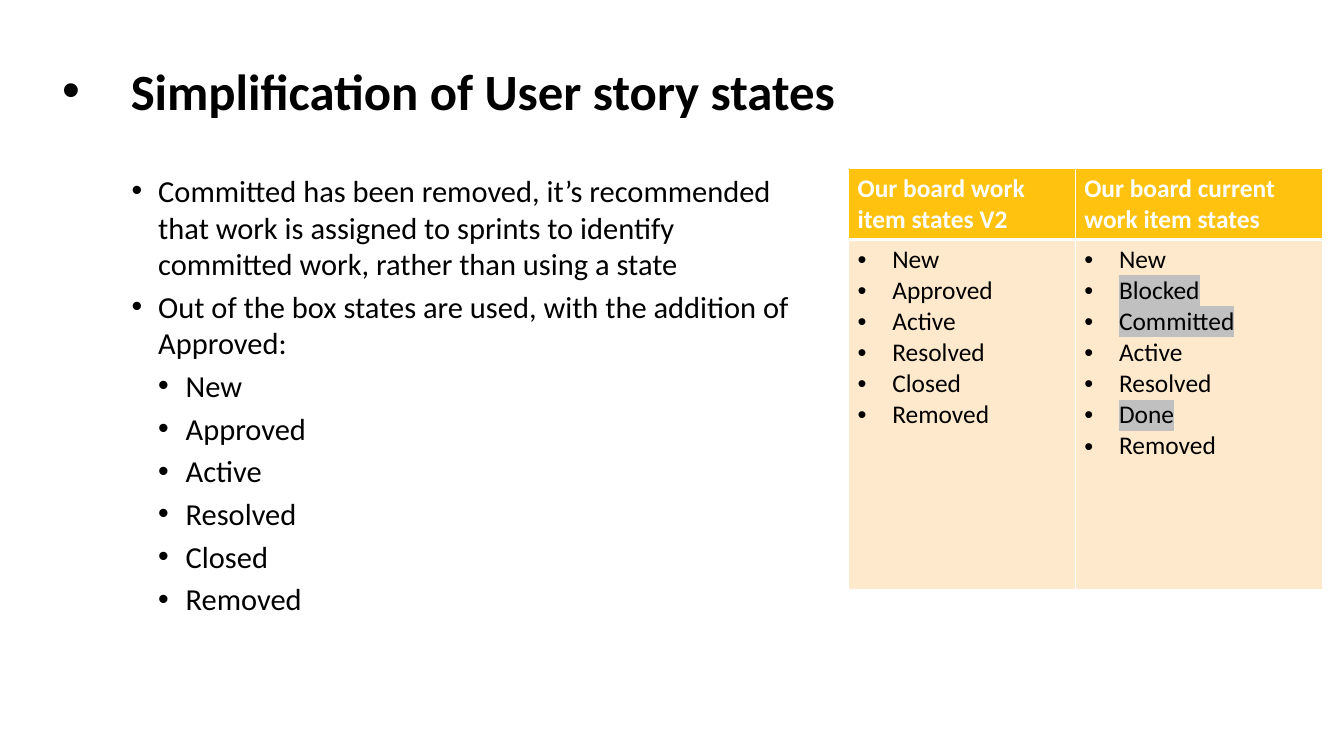
from dataclasses import dataclass

from lxml.etree import SubElement
from pptx import Presentation
from pptx.dml.color import RGBColor
from pptx.enum.text import MSO_ANCHOR, MSO_AUTO_SIZE, PP_ALIGN
from pptx.oxml.ns import qn
from pptx.util import Inches, Pt

SLIDE_WIDTH, SLIDE_HEIGHT = Inches(14.7), Inches(8.27)


@dataclass(frozen=True)
class Theme:
    font: str = "Calibri"
    ink: str = "000000"
    paper: str = "FFFFFF"
    header_fill: str = "FFC20E"
    body_fill: str = "FFE9CC"
    highlight: str = "C0C0C0"
    title_size: float = 40
    list_size: float = 24
    table_size: float = 20


THEME = Theme()

HEADING = "Simplification of User story states"
NEW_STATES = ["New", "Approved", "Active", "Resolved", "Closed", "Removed"]
CURRENT_STATES = ["New", "Blocked", "Committed", "Active", "Resolved", "Done", "Removed"]
DROPPED_STATES = {"Blocked", "Committed", "Done"}
EXPLANATION = [
    "Committed has been removed, it’s recommended that work is assigned to "
    "sprints to identify committed work, rather than using a state",
    "Out of the box states are used, with the addition of Approved:",
]
STATE_COLUMNS = [
    ("Our board work item states V2", NEW_STATES),
    ("Our board current work item states", CURRENT_STATES),
]


def across(percent):
    return round(SLIDE_WIDTH * percent / 100)


def down(percent):
    return round(SLIDE_HEIGHT * percent / 100)


def place(placeholder, left, top, width, height):
    """Position a placeholder by percentages of the slide."""
    placeholder.left, placeholder.top = across(left), down(top)
    placeholder.width, placeholder.height = across(width), down(height)
    placeholder.text_frame.word_wrap = True
    placeholder.text_frame.auto_size = MSO_AUTO_SIZE.NONE


def add_bullet(paragraph, margin, hanging):
    properties = paragraph._p.get_or_add_pPr()
    properties.set("marL", str(Inches(margin)))
    properties.set("indent", str(-Inches(hanging)))
    SubElement(properties, qn("a:buFont"), typeface="Arial")
    SubElement(properties, qn("a:buChar"), char="•")


def format_runs(paragraph, size, color=THEME.ink, bold=False):
    for run in paragraph.runs:
        run.font.name = THEME.font
        run.font.size = Pt(size)
        run.font.bold = bold
        run.font.color.rgb = RGBColor.from_string(color)


def highlight_runs(paragraph):
    for run in paragraph.runs:
        properties = run._r.get_or_add_rPr()
        marker = SubElement(properties, qn("a:highlight"))
        SubElement(marker, qn("a:srgbClr"), val=THEME.highlight)
        properties.find(qn("a:solidFill")).addnext(marker)


def fill_title(title):
    place(title, 3.88, 3.99, 83.13, 15.84)
    frame = title.text_frame
    frame.text = HEADING
    frame.vertical_anchor = MSO_ANCHOR.MIDDLE
    frame.margin_left = frame.margin_right = Inches(0.11)
    frame.margin_top = frame.margin_bottom = Inches(0.06)
    heading = frame.paragraphs[0]
    heading.alignment = PP_ALIGN.LEFT
    add_bullet(heading, 0.75, 0.75)
    format_runs(heading, THEME.title_size, bold=True)


def fill_explanation(body):
    place(body, 9.12, 22.15, 51.97, 68.78)
    frame = body.text_frame
    frame.text = "\n".join(EXPLANATION + NEW_STATES)
    for index, point in enumerate(frame.paragraphs):
        is_state = index >= len(EXPLANATION)
        point.level = int(is_state)
        point.space_before = Pt(0.2 * THEME.list_size if index else 0)
        add_bullet(point, *((0.59, 0.3) if is_state else (0.29, 0.29)))
        format_runs(point, THEME.list_size)


def add_border(cell, side, width):
    line = SubElement(cell._tc.get_or_add_tcPr(), qn(f"a:ln{side}"), w=str(Pt(width)))
    fill = SubElement(line, qn("a:solidFill"))
    SubElement(fill, qn("a:srgbClr"), val=THEME.paper)


def style_cell(cell, fill, top_width, bottom_width):
    for side, width in zip("LRTB", (1, 1, top_width, bottom_width)):
        add_border(cell, side, width)
    cell.fill.solid()
    cell.fill.fore_color.rgb = RGBColor.from_string(fill)


def fill_state_column(header, body, label, states):
    style_cell(header, THEME.header_fill, 1, 3)
    header.text_frame.text = label
    format_runs(header.text_frame.paragraphs[0], THEME.table_size, THEME.paper, bold=True)

    style_cell(body, THEME.body_fill, 3, 1)
    body.text_frame.text = "\n".join(states)
    for state in body.text_frame.paragraphs:
        add_bullet(state, 0.38, 0.38)
        format_runs(state, THEME.table_size)
        if state.text in DROPPED_STATES:
            highlight_runs(state)


def add_state_table(slide):
    widths, heights = (16.87, 18.44), (9.31, 46.31)
    table = slide.shapes.add_table(
        len(heights), len(widths), across(63.13), down(22.25),
        across(sum(widths)), down(sum(heights)),
    ).table
    table.horz_banding = False
    for column, width in zip(table.columns, widths):
        column.width = across(width)
    for row, height in zip(table.rows, heights):
        row.height = down(height)
    for index, (label, states) in enumerate(STATE_COLUMNS):
        fill_state_column(table.cell(0, index), table.cell(1, index), label, states)


def main():
    presentation = Presentation()
    presentation.slide_width, presentation.slide_height = SLIDE_WIDTH, SLIDE_HEIGHT
    slide = presentation.slides.add_slide(presentation.slide_layouts[1])
    fill_title(slide.shapes.title)
    add_state_table(slide)
    fill_explanation(slide.placeholders[1])
    presentation.save("out.pptx")


if __name__ == "__main__":
    main()
